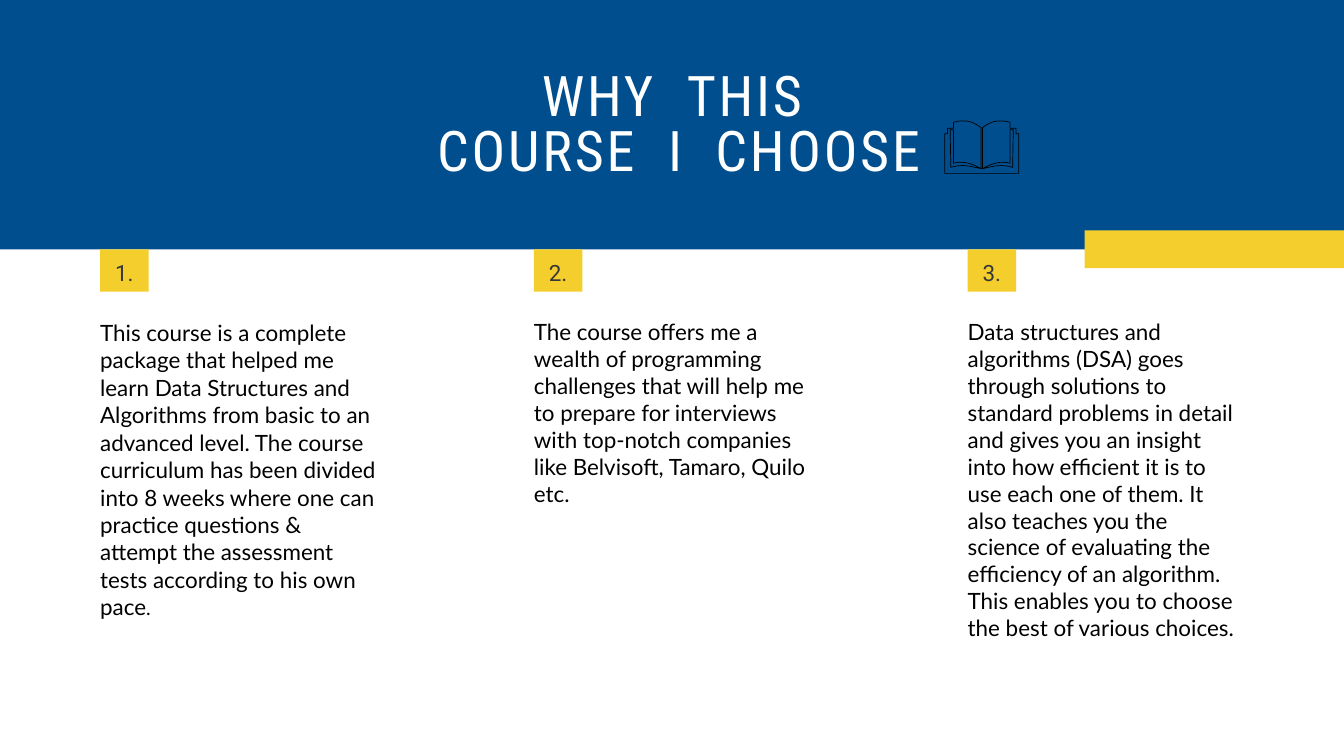
from dataclasses import dataclass

from pptx import Presentation
from pptx.dml.color import RGBColor
from pptx.enum.shapes import MSO_SHAPE
from pptx.enum.text import MSO_ANCHOR, PP_ALIGN
from pptx.util import Inches, Pt


@dataclass(frozen=True)
class Theme:
    blue: RGBColor = RGBColor(0x00, 0x4E, 0x8E)
    yellow: RGBColor = RGBColor(0xF4, 0xCE, 0x2C)
    white: RGBColor = RGBColor(0xFF, 0xFF, 0xFF)
    black: RGBColor = RGBColor(0, 0, 0)
    charcoal: RGBColor = RGBColor(0x35, 0x38, 0x39)
    title_font: str = "Roboto Condensed"
    number_font: str = "Roboto"
    body_font: str = "Lato"
    title_size: int = 60
    body_size: int = 24
    stop_size: int = 21


THEME = Theme()

TITLE_LINES = ["WHY THIS", "COURSE I CHOOSE"]

# Each reason: its runs as (text, size), and its line spacing in points
REASONS = [
    ([("This course is a complete package that helped me learn Data Structures and "
       "Algorithms from basic to an advanced level. The course curriculum has been "
       "divided into 8 weeks where one can practice questions & attempt the "
       "assessment tests according to his own pace", THEME.body_size),
      (".", THEME.stop_size)], 29.4),
    ([("The course offers me a wealth of programming challenges that will help me to "
       "prepare for interviews with top-notch companies like Belvisoft, Tamaro, "
       "Quilo etc.", THEME.body_size)], None),
    ([("Data structures and algorithms (DSA) goes through solutions to standard "
       "problems in detail and gives you an insight into how efficient it is to use "
       "each one of them. It also teaches you the science of evaluating the "
       "efficiency of an algorithm. This enables you to choose the best of various "
       "choices.", THEME.body_size)], None),
]


def add_block(page, left, top, width, height, color):
    block = page.shapes.add_shape(
        MSO_SHAPE.RECTANGLE, Inches(left), Inches(top), Inches(width), Inches(height))
    block.shadow.inherit = False
    block.fill.solid()
    block.fill.fore_color.rgb = color
    block.line.fill.background()
    return block


def set_margins(frame, margin):
    frame.margin_left = frame.margin_right = Inches(margin)
    frame.margin_top = frame.margin_bottom = Inches(margin)


def add_text_box(page, left, top, width, height):
    box = page.shapes.add_textbox(
        Inches(left), Inches(top), Inches(width), Inches(height))
    box.text_frame.word_wrap = True
    set_margins(box.text_frame, 0)
    return box.text_frame


def add_span(para, text, font, size, color, tracking=0):
    span = para.add_run()
    span.text = text
    span.font.name = font
    span.font.size = Pt(size)
    span.font.color.rgb = color
    if tracking:
        span.font._element.set("spc", str(tracking * 100))


def add_title(page, left, top, width, height):
    frame = add_text_box(page, left, top, width, height)
    for index, line in enumerate(TITLE_LINES):
        para = frame.add_paragraph() if index else frame.paragraphs[0]
        para.alignment = PP_ALIGN.CENTER
        para.line_spacing = Pt(59.4)
        if index:  # the second line sits a little right of centre
            para._p.get_or_add_pPr().set("marL", str(Inches(0.2)))
        for position, word in enumerate(line.split()):
            if position:  # wide word gap
                add_span(para, " ", THEME.title_font, THEME.title_size, THEME.white, 19)
            add_span(para, word, THEME.title_font, THEME.title_size, THEME.white, 3)


def curve(start, first, second, end, steps=10):
    """Points along a cubic curve, both ends included."""
    points = []
    for step in range(steps + 1):
        t = step / steps
        weights = ((1 - t) ** 3, 3 * t * (1 - t) ** 2, 3 * t * t * (1 - t), t ** 3)
        points.append(tuple(
            sum(weight * value for weight, value in zip(weights, values))
            for values in zip(start, first, second, end)))
    return points


def add_book(page, center, top):
    # Right half, measured from the spine; the left half mirrors it
    right = [
        *curve((0.01, 0.71), (0.19, 0.67), (0.28, 0.64), (0.46, 0.69)),
        (0.47, 0.13), (0.42, 0.13),
        *curve((0.42, 0.63), (0.29, 0.59), (0.15, 0.63), (0.01, 0.71)),
        *curve((0.01, 0.1), (0.09, 0.04), (0.17, 0), (0.26, 0)),
        *curve((0.26, 0), (0.31, 0), (0.36, 0), (0.42, 0.02)),
        (0.42, 0.11), (0.51, 0.11), (0.51, 0.19), (0.55, 0.19), (0.55, 0.78),
    ]
    outline = right + [(-x, y) for x, y in reversed(right)]
    points = [(Inches(center + x), Inches(top + y)) for x, y in outline]
    builder = page.shapes.build_freeform(*points[0])
    builder.add_line_segments(points[1:], close=True)
    book = builder.convert_to_shape()
    book.shadow.inherit = False
    book.fill.background()
    book.line.color.rgb = THEME.black
    book.line.width = Pt(0.75)


def add_header(page, left, top, width, height):
    add_block(page, left, top, width, height, THEME.blue)
    add_title(page, left + 3.37, top + 1.07, width - 6.74, 1.66)
    add_block(page, left + 16.14, top + height - 0.28, 3.9, 0.56, THEME.yellow)
    add_book(page, left + 14.61, top + 1.8)


def add_reason(page, number, reason, left, top, width, height):
    # Numbered tab
    tab = add_block(page, left, top, 0.72, 0.63, THEME.yellow)
    set_margins(tab.text_frame, 0.06)
    tab.text_frame.vertical_anchor = MSO_ANCHOR.MIDDLE
    para = tab.text_frame.paragraphs[0]
    para.alignment = PP_ALIGN.CENTER
    para.line_spacing = Pt(33.6)
    add_span(para, f"{number}.", THEME.number_font, THEME.body_size, THEME.charcoal)

    # Explanation
    spans, spacing = reason
    frame = add_text_box(page, left, top + 1.03, width, height - 1.03)
    para = frame.paragraphs[0]
    if spacing:
        para.line_spacing = Pt(spacing)
    for text, size in spans:
        add_span(para, text, THEME.body_font, size, THEME.black)


def main():
    deck = Presentation()
    deck.slide_width = Inches(20)
    deck.slide_height = Inches(11.25)
    page = deck.slides.add_slide(deck.slide_layouts[6])

    header_height = 3.71
    add_header(page, 0, 0, 20, header_height)
    for index, reason in enumerate(REASONS):
        left = 1.49 + index * 6.455
        add_reason(page, index + 1, reason, left, header_height, 4.11, 5.88)
    deck.save("out.pptx")


if __name__ == "__main__":
    main()
